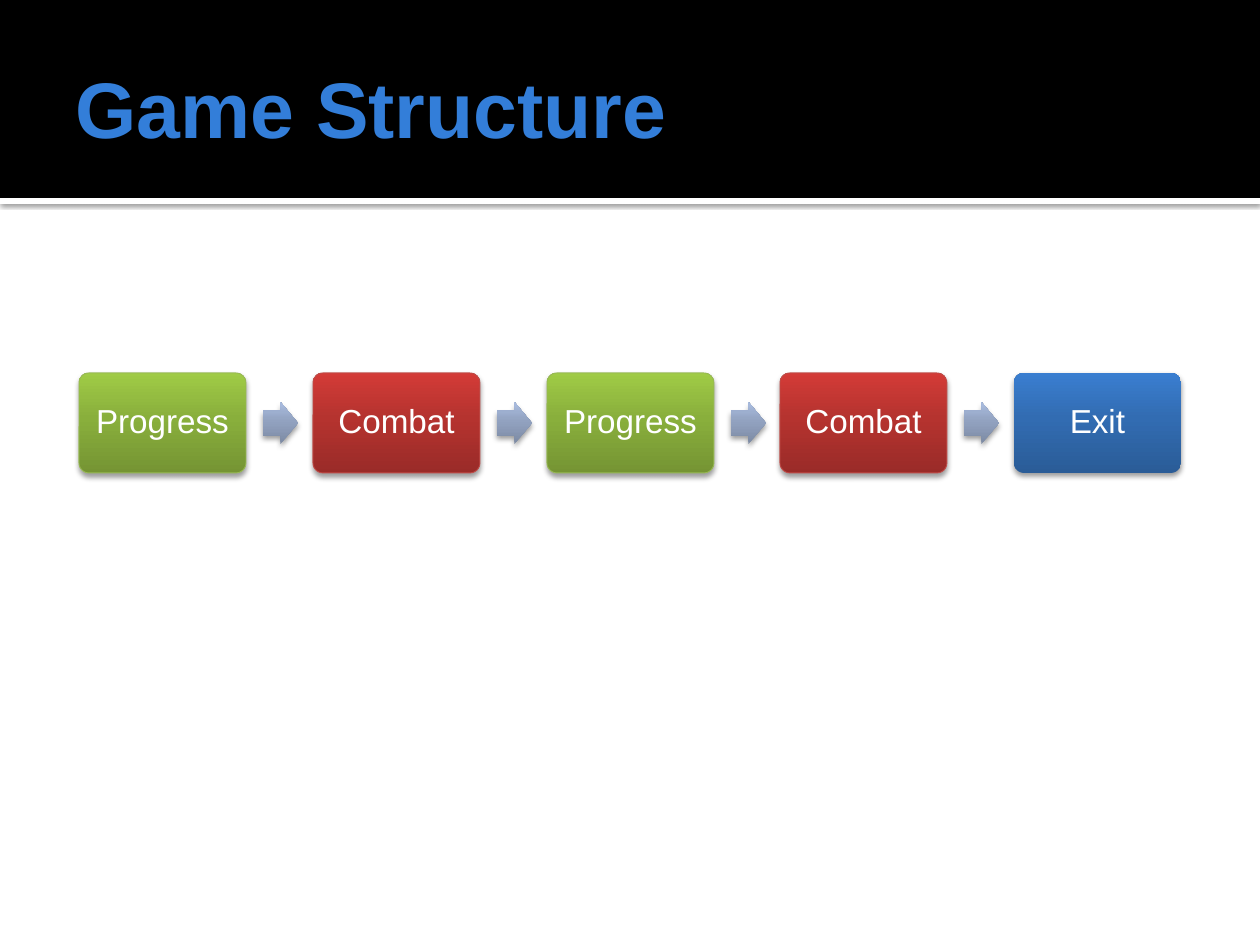
import dataclasses

import lxml.etree
import pptx
import pptx.dml.color
import pptx.enum.shapes
import pptx.enum.text
import pptx.oxml.ns
import pptx.util

SHAPES = pptx.enum.shapes.MSO_SHAPE
PIXEL = 914400 // 126


@dataclasses.dataclass(frozen=True)
class Theme:
    font: str = "Arial"
    title_size: int = 45
    label_size: int = 19
    title: str = "337ED9"
    white: str = "FFFFFF"
    black: str = "000000"
    # Gradients run from the bottom edge to the top edge
    green: tuple = ("759433", "89AF3C", "A0CB46")
    red: tuple = ("9A2B28", "B5332F", "D33B37")
    blue: tuple = ("2A5C97", "326CB2", "3A7ED0")
    grey: tuple = ("7C8AA3", "92A2C0", "AABDE0")
    green_edge: str = "98B955"
    red_edge: str = "BF4C48"
    stops: tuple = (0, 55, 100)
    # Shadow opacity in percent, then blur and distance in points
    rule_shadow: tuple = (60, 2.5, 0.8)
    box_shadow: tuple = (38, 3.1, 2)


def color(value):
    return pptx.dml.color.RGBColor.from_string(value)


def add_node(parent, tag, **attributes):
    values = {name: str(value) for name, value in attributes.items()}
    return lxml.etree.SubElement(parent, pptx.oxml.ns.qn(tag), values)


class SlideBuilder:
    def __init__(self, page, theme):
        self.page = page
        self.theme = theme

    def shape(self, kind, bounds, fill, edge=None, shadow=None):
        shape = self.page.shapes.add_shape(kind, *(value * PIXEL for value in bounds))
        if isinstance(fill, tuple):
            self.gradient(shape, fill)
        else:
            shape.fill.solid()
            shape.fill.fore_color.rgb = color(fill)
        if edge:
            shape.line.color.rgb = color(edge)
            shape.line.width = pptx.util.Pt(0.5)
        else:
            shape.line.fill.background()
        shape.shadow.inherit = False
        if shadow:
            self.shadow(shape, *shadow)
        return shape

    def gradient(self, shape, colors):
        shape.fill.gradient()
        shape.fill.gradient_angle = 90
        stop_list = shape.element.spPr.find(".//" + pptx.oxml.ns.qn("a:gsLst"))
        for stop in list(stop_list):
            stop_list.remove(stop)
        for position, value in zip(self.theme.stops, colors):
            stop = add_node(stop_list, "a:gs", pos=position * 1000)
            add_node(stop, "a:srgbClr", val=value)

    def shadow(self, shape, opacity, blur, distance):
        effects = shape.element.spPr.find(pptx.oxml.ns.qn("a:effectLst"))
        outer = add_node(effects, "a:outerShdw", blurRad=pptx.util.Pt(blur),
                         dist=pptx.util.Pt(distance), dir=90 * 60000, rotWithShape=0)
        shade = add_node(outer, "a:srgbClr", val=self.theme.black)
        add_node(shade, "a:alpha", val=opacity * 1000)

    def text(self, shape, words, size, value, align, bold=False):
        frame = shape.text_frame
        frame.text = words
        frame.word_wrap = True
        frame.auto_size = pptx.enum.text.MSO_AUTO_SIZE.NONE
        frame.vertical_anchor = pptx.enum.text.MSO_ANCHOR.MIDDLE
        para = frame.paragraphs[0]
        para.alignment = align
        para.font.name = self.theme.font
        para.font.size = pptx.util.Pt(size)
        para.font.bold = bold
        para.font.color.rgb = color(value)
        return frame

    def title(self, words, bounds):
        title = self.page.shapes.title
        title.left, title.top, title.width, title.height = (
            value * PIXEL for value in bounds)
        frame = self.text(title, words, self.theme.title_size, self.theme.title,
                          pptx.enum.text.PP_ALIGN.LEFT, bold=True)
        frame.margin_left = pptx.util.Inches(0.1)
        frame.margin_right = pptx.util.Inches(0.05)
        # Bring the title in front of the header band
        title.element.getparent().append(title.element)

    def step(self, words, bounds, fill, edge):
        box = self.shape(SHAPES.ROUNDED_RECTANGLE, bounds, fill, edge,
                         self.theme.box_shadow)
        box.adjustments[0] = 0.1
        frame = self.text(box, words, self.theme.label_size, self.theme.white,
                          pptx.enum.text.PP_ALIGN.CENTER)
        frame.margin_left = frame.margin_right = pptx.util.Inches(0.1)
        frame.margin_top = frame.margin_bottom = pptx.util.Inches(0.1)
        frame.paragraphs[0].line_spacing = 0.9

    def arrow(self, bounds):
        arrow = self.shape(SHAPES.RIGHT_ARROW, bounds, self.theme.grey,
                           shadow=self.theme.box_shadow)
        arrow.adjustments[0] = 0.6
        arrow.adjustments[1] = 0.5


theme = Theme()
deck = pptx.Presentation()
deck.slide_width = 1260 * PIXEL
deck.slide_height = 945 * PIXEL
page = deck.slides.add_slide(deck.slide_layouts.get_by_name("Title Only"))
builder = SlideBuilder(page, theme)

# Header band, rule and title
builder.shape(SHAPES.RECTANGLE, (0, 198, 1260, 6), theme.white,
              shadow=theme.rule_shadow)
builder.shape(SHAPES.RECTANGLE, (0, 0, 1260, 198), theme.black)
builder.title("Game Structure", (63, 21, 1134, 173))

# Process steps, evenly spread, with an arrow in each gap
progress = ("Progress", theme.green, theme.green_edge)
combat = ("Combat", theme.red, theme.red_edge)
leave = ("Exit", theme.blue, None)
steps = [progress, combat, progress, combat, leave]
first_left, last_left = 79, 1014
last = len(steps) - 1
for index, (words, fill, edge) in enumerate(steps):
    left = first_left + round((last_left - first_left) * index / last)
    builder.step(words, (left, 373, 167, 100), fill, edge)
    if index < last:
        builder.arrow((left + 184, 402, 35, 42))

deck.save("out.pptx")
